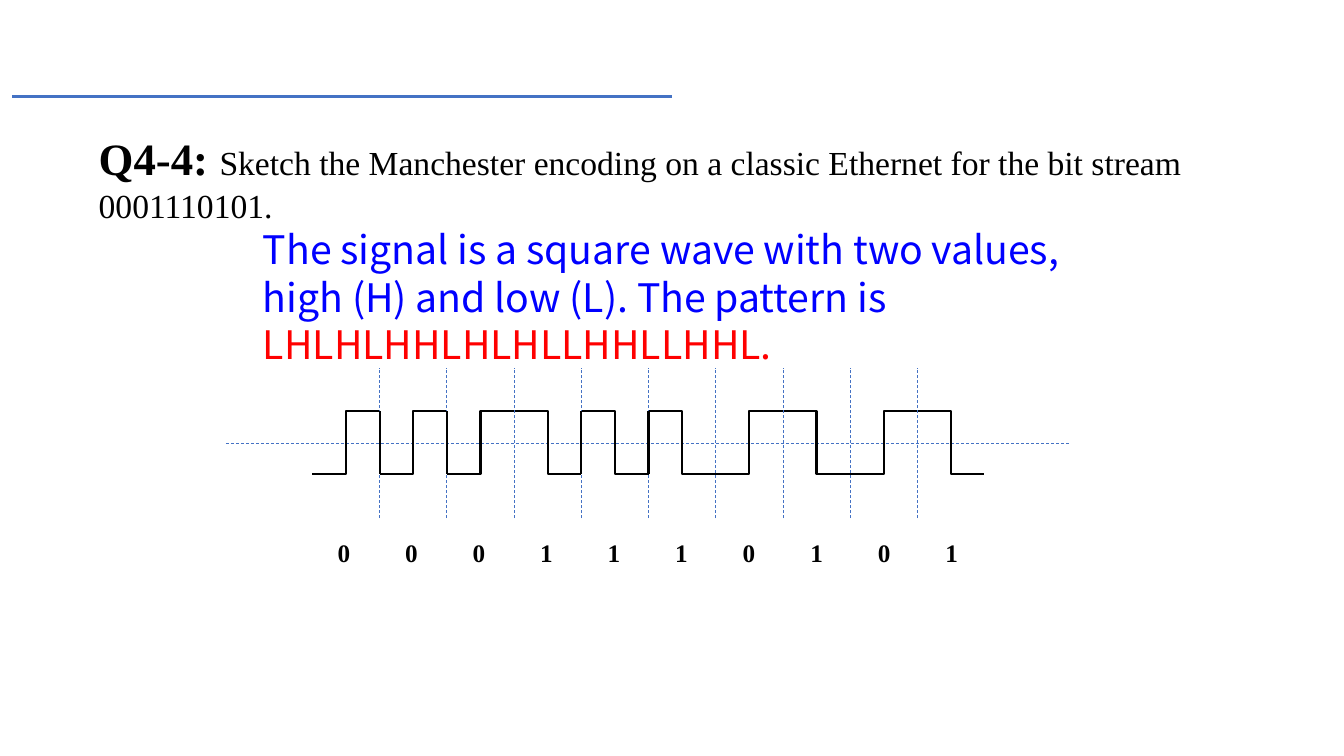
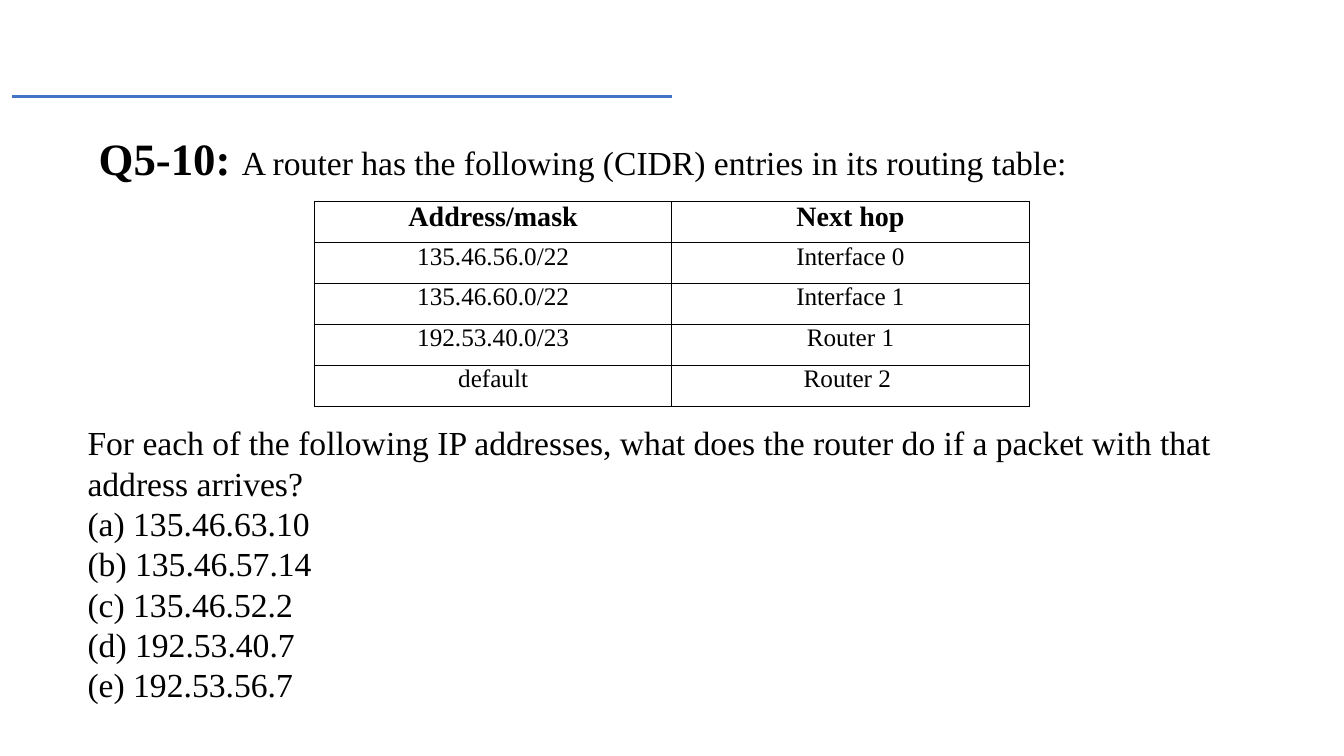
from dataclasses import dataclass
from typing import Optional

import pptx
import pptx.dml.color
import pptx.enum.dml
import pptx.enum.shapes
import pptx.enum.text
import pptx.oxml
import pptx.oxml.ns
import pptx.presentation
import pptx.slide
import pptx.text.text
import pptx.util
from lxml import etree

# Shared look
BLACK = pptx.dml.color.RGBColor(0x00, 0x00, 0x00)
ACCENT = pptx.dml.color.RGBColor(0x44, 0x72, 0xC4)
ANSWER_BLUE = pptx.dml.color.RGBColor(0x00, 0x00, 0xFF)
ANSWER_RED = pptx.dml.color.RGBColor(0xFF, 0x00, 0x00)
SERIF = "Times New Roman"
SANS = "Noto Sans CJK SC"
STRAIGHT = pptx.enum.shapes.MSO_CONNECTOR.STRAIGHT
ELBOW = pptx.enum.shapes.MSO_CONNECTOR.ELBOW

# Grid of 40 columns and 30 rows
SLIDE_WIDTH = pptx.util.Inches(13.33)
SLIDE_HEIGHT = pptx.util.Inches(7.5)
COLUMN = SLIDE_WIDTH / 40
ROW = SLIDE_HEIGHT / 30


@dataclass(frozen=True)
class Area:
    col: float
    row: float
    cols: float
    rows: float

    def emu(self) -> list[int]:
        return [round(self.col * COLUMN), round(self.row * ROW),
                round(self.cols * COLUMN), round(self.rows * ROW)]


@dataclass(frozen=True)
class Span:
    text: str
    size: float = 24
    bold: bool = False
    color: pptx.dml.color.RGBColor = BLACK
    font: str = SERIF


@dataclass(frozen=True)
class Stroke:
    color: pptx.dml.color.RGBColor
    width: float
    dashed: bool = False


TITLE_RULE = Stroke(ACCENT, 2.25)
GUIDE = Stroke(ACCENT, 0.5, dashed=True)
SIGNAL = Stroke(BLACK, 1.5)


def write(paragraph: pptx.text.text._Paragraph, span: Span) -> None:
    run = paragraph.add_run()
    run.text = span.text
    run.font.size = pptx.util.Pt(span.size)
    run.font.bold = span.bold
    run.font.color.rgb = span.color
    run.font.name = span.font


def add_text(slide: pptx.slide.Slide, area: Area, lines: list[list[Span]], *,
             line_points: Optional[float] = None, top_inset: float = 0.05) -> None:
    frame = slide.shapes.add_textbox(*area.emu()).text_frame
    frame.word_wrap = True
    frame.margin_top = pptx.util.Inches(top_inset)
    for index, spans in enumerate(lines):
        paragraph = frame.add_paragraph() if index else frame.paragraphs[0]
        if line_points:
            paragraph.line_spacing = pptx.util.Pt(line_points)
        for span in spans:
            write(paragraph, span)


def add_line(slide: pptx.slide.Slide, start: tuple[float, float], end: tuple[float, float],
             stroke: Stroke, kind: pptx.enum.shapes.MSO_CONNECTOR = STRAIGHT) -> None:
    line = slide.shapes.add_connector(
        kind, round(start[0] * COLUMN), round(start[1] * ROW),
        round(end[0] * COLUMN), round(end[1] * ROW))
    line.line.color.rgb = stroke.color
    line.line.width = pptx.util.Pt(stroke.width)
    if stroke.dashed:
        line.line.dash_style = pptx.enum.dml.MSO_LINE.DASH
    etree.SubElement(line._element.spPr, pptx.oxml.ns.qn("a:effectLst"))


def add_question(deck: pptx.presentation.Presentation, number: str, question: str,
                 rows: float) -> pptx.slide.Slide:
    slide = deck.slides.add_slide(deck.slide_layouts[6])
    add_line(slide, (0.36, 3.84), (20, 3.84), TITLE_RULE)
    add_text(slide, Area(2.64, 5, 36.54, rows),
             [[Span(f"{number}: ", 32, bold=True), Span(question)]])
    return slide


# Manchester code: 0 rises in mid-bit, 1 falls
BITS = "0001110101"
FIRST_BIT, BIT_COLS = 9.3, 2
HIGH, LOW, AXIS = 16.32, 18.8, 17.6
GUIDE_TOP, GUIDE_BOTTOM = 14.6, 20.56
FIRST_LABEL, LABEL_PITCH = 9.75, 2.01


def add_waveform(slide: pptx.slide.Slide) -> None:
    add_line(slide, (6.72, AXIS), (31.86, AXIS), GUIDE)
    for index, bit in enumerate(BITS):
        left = FIRST_BIT + index * BIT_COLS
        before, after = (LOW, HIGH) if bit == "0" else (HIGH, LOW)
        add_line(slide, (left, before), (left + BIT_COLS, after), SIGNAL, ELBOW)
        if index:
            add_line(slide, (left, GUIDE_BOTTOM), (left, GUIDE_TOP), GUIDE)
            if bit == BITS[index - 1]:
                add_line(slide, (left, HIGH), (left, LOW), SIGNAL)
        add_text(slide, Area(FIRST_LABEL + index * LABEL_PITCH, 21.12, 1.02, 1.6),
                 [[Span(bit, 18, bold=True)]])


# Routing table
ROUTES = [
    ("Address/mask", "Next hop"),
    ("135.46.56.0/22", "Interface 0"),
    ("135.46.60.0/22", "Interface 1"),
    ("192.53.40.0/23", "Router 1"),
    ("default", "Router 2 "),
]


def add_borders(cell: pptx.table._Cell) -> None:
    properties = cell._tc.get_or_add_tcPr()
    for side in ("lnL", "lnR", "lnT", "lnB"):
        properties.append(pptx.oxml.parse_xml(
            f'<a:{side} {pptx.oxml.ns.nsdecls("a")} w="{pptx.util.Pt(1)}">'
            f'<a:solidFill><a:srgbClr val="{BLACK}"/></a:solidFill></a:{side}>'))


def add_routes(slide: pptx.slide.Slide, area: Area) -> None:
    table = slide.shapes.add_table(len(ROUTES), len(ROUTES[0]), *area.emu()).table
    table.first_row = table.horz_banding = False
    for row, route in enumerate(ROUTES):
        for column, entry in enumerate(route):
            cell = table.cell(row, column)
            cell.margin_left = cell.margin_right = pptx.util.Inches(0.07)
            cell.margin_top = cell.margin_bottom = 0
            add_borders(cell)
            cell.fill.background()
            paragraph = cell.text_frame.paragraphs[0]
            paragraph.alignment = pptx.enum.text.PP_ALIGN.CENTER
            write(paragraph, Span(entry, 18 if row else 20, bold=row == 0))


PACKETS = [
    "For each of the following IP addresses, what does the router do "
    "if a packet with that address arrives?",
    "(a) 135.46.63.10",
    "(b) 135.46.57.14",
    "(c) 135.46.52.2",
    "(d) 192.53.40.7",
    "(e) 192.53.56.7",
]


def main() -> None:
    deck = pptx.Presentation()
    deck.slide_width, deck.slide_height = SLIDE_WIDTH, SLIDE_HEIGHT

    # Manchester encoding
    encoding = add_question(
        deck, "Q4-4", "Sketch the Manchester encoding on a classic Ethernet "
        "for the bit stream 0001110101.", rows=4.16)
    add_text(encoding, Area(7.53, 8.56, 25.59, 6.04), [[
        Span("The signal is a square wave with two values, high (H) and low (L). "
             "The pattern is ", 28, color=ANSWER_BLUE, font=SANS),
        Span("LHLHLHHLHLHLLHHLLHHL.", 28, color=ANSWER_RED, font=SANS),
    ]], line_points=33.6, top_inset=0.1)
    add_waveform(encoding)

    # CIDR routing
    routing = add_question(
        deck, "Q5-10", "A router has the following (CIDR) entries in its routing table:",
        rows=2.56)
    add_routes(routing, Area(9.36, 8, 21.27, 8.12))
    add_text(routing, Area(2.31, 16.56, 35.4, 11.72), [[Span(line)] for line in PACKETS])

    deck.save("out.pptx")


if __name__ == "__main__":
    main()
